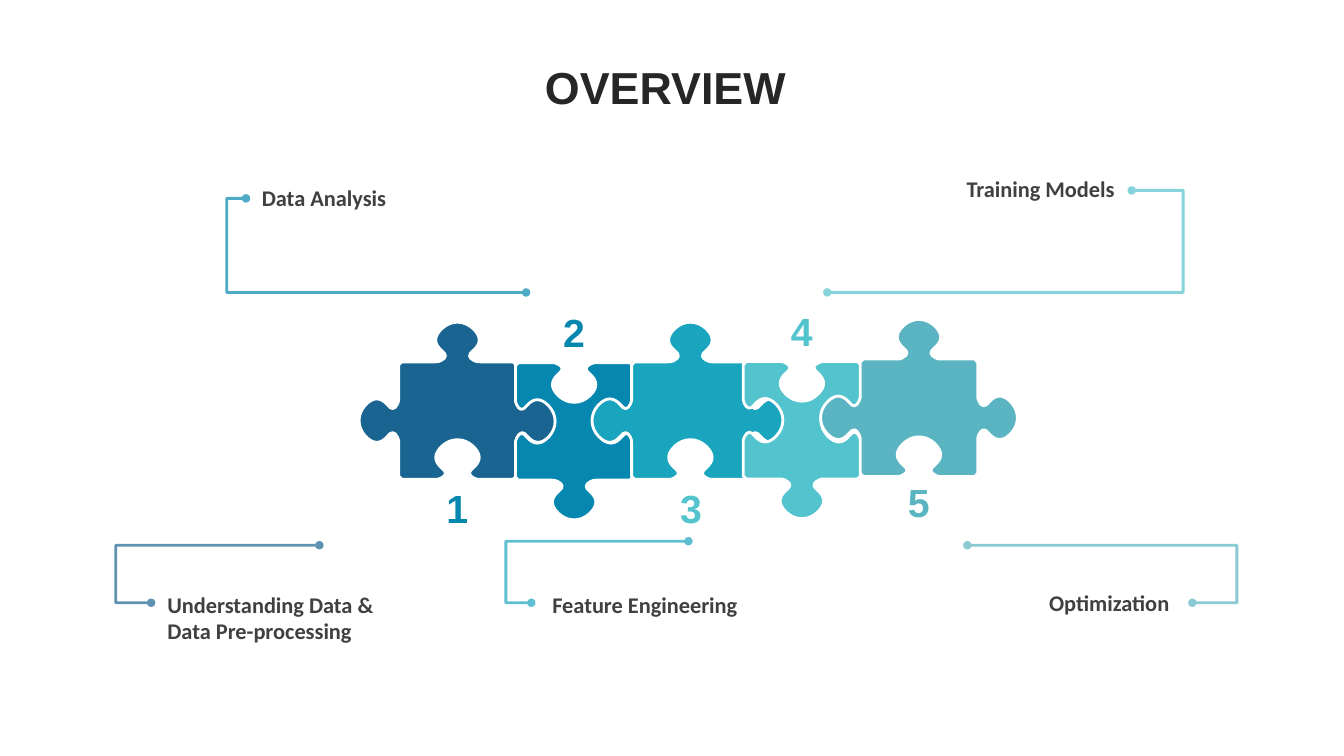
from lxml.etree import SubElement
from pptx import Presentation
from pptx.dml.color import RGBColor
from pptx.enum.shapes import MSO_CONNECTOR
from pptx.enum.text import MSO_ANCHOR, MSO_AUTO_SIZE, PP_ALIGN
from pptx.oxml.ns import qn
from pptx.util import Cm, Pt

NAVY = RGBColor(0x19, 0x64, 0x91)
BLUE = RGBColor(0x05, 0x87, 0xAF)
TEAL = RGBColor(0x19, 0xA5, 0xBE)
AQUA = RGBColor(0x53, 0xC3, 0xCD)
MIST = RGBColor(0x5A, 0xB4, 0xC1)
WHITE = RGBColor(0xFF, 0xFF, 0xFF)
TITLE_COLOR = RGBColor(0x26, 0x26, 0x26)
LABEL_COLOR = RGBColor(0x40, 0x40, 0x40)

# Half of a puzzle side in cm: (along the side, outwards).
# A corner, the start of the knob, then three points for each curve up to the tip.
HALF_SIDE = 1.48
HALF_PROFILE = [
    (-1.4, 0), (-0.57, 0),
    (-0.52, 0), (-0.47, 0), (-0.42, 0.03),
    (-0.27, 0.1), (-0.27, 0.19), (-0.39, 0.28),
    (-0.6, 0.46), (-0.6, 0.64), (-0.39, 0.84),
    (-0.28, 0.94), (-0.15, 1), (0, 1),
]
SIDE_PROFILE = HALF_PROFILE + [(-along, out) for along, out in HALF_PROFILE[-2::-1]]

# Direction of each side, clockwise from the top: 1 is a knob, -1 a notch
KNOB_UP = (1, 1, -1, 1)
KNOB_DOWN = (-1, -1, 1, -1)

# Centre x, centre y, sides, colour
PIECES = [
    (11.53, 10.6, KNOB_UP, NAVY),
    (14.47, 10.62, KNOB_DOWN, BLUE),
    (17.4, 10.6, KNOB_UP, TEAL),
    (20.21, 10.59, KNOB_DOWN, AQUA),
    (23.16, 10.53, KNOB_UP, MIST),
]

# Text, left, top, colour
NUMBERS = [
    ("1", 9.86, 12.07, BLUE),
    ("2", 12.8, 7.65, BLUE),
    ("3", 15.75, 12.07, AQUA),
    ("4", 18.54, 7.62, AQUA),
    ("5", 21.49, 11.94, MIST),
]

# Lines, left, top, width, height
LABELS = [
    (["Understanding Data &", "Data Pre-processing"], 4.22, 14.76, 5.66, 1.62),
    (["Data Analysis"], 6.6, 4.52, 5.66, 0.94),
    (["Feature Engineering"], 13.92, 14.76, 5.66, 0.94),
    (["Training Models"], 24.36, 4.29, 4.17, 0.94),
    (["Optimization"], 26.44, 14.71, 3.3, 0.94),
]

# Start, end, x of the bend, colour
LEADERS = [
    ((3.81, 15.19), (8.05, 13.74), 2.92, NAVY),
    ((6.2, 5), (13.26, 7.37), 5.71, BLUE),
    ((13.39, 15.19), (17.35, 13.64), 12.75, TEAL),
    ((20.85, 7.37), (28.52, 4.8), 29.82, AQUA),
    ((30.05, 15.19), (24.38, 13.74), 31.17, MIST),
]


def write_text(frame, lines, *, font, size, color, align=PP_ALIGN.LEFT):
    """Fill a text frame with bold paragraphs."""
    frame.word_wrap = True
    for index, line in enumerate(lines):
        paragraph = frame.add_paragraph() if index else frame.paragraphs[0]
        paragraph.alignment = align
        run = paragraph.add_run()
        run.text = line
        run.font.name = font
        run.font.size = Pt(size)
        run.font.bold = True
        run.font.color.rgb = color


def add_title(slide, text):
    title = slide.shapes.title
    title.left, title.top = Cm(0.69), Cm(1.27)
    title.width, title.height = Cm(32.16), Cm(2.01)
    frame = title.text_frame
    frame.vertical_anchor = MSO_ANCHOR.MIDDLE
    write_text(frame, [text], font="Arial", size=32, color=TITLE_COLOR,
               align=PP_ALIGN.CENTER)
    frame.paragraphs[0].line_spacing = 0.9
    frame.paragraphs[0].space_before = Pt(10)


def add_text_box(slide, lines, left, top, width, height, **text_format):
    box = slide.shapes.add_textbox(Cm(left), Cm(top), Cm(width), Cm(height))
    write_text(box.text_frame, lines, **text_format)
    box.text_frame.auto_size = MSO_AUTO_SIZE.SHAPE_TO_FIT_TEXT
    return box.text_frame


def add_label(slide, lines, left, top, width, height):
    frame = add_text_box(slide, lines, left, top, width, height,
                         font="Calibri", size=16, color=LABEL_COLOR)
    frame.margin_left = frame.margin_right = 0


def round_knobs(piece):
    """Join the line segments of each knob, three by three, into curves."""
    outline = next(piece._element.iter(qn("a:path")))
    segments = [outline[0]] + outline.findall(qn("a:lnTo"))
    size = len(SIDE_PROFILE)
    for side_start in range(0, len(segments), size):
        for first in range(side_start + 2, side_start + size - 1, 3):
            curve = SubElement(outline, qn("a:cubicBezTo"))
            segments[first].addprevious(curve)
            for segment in segments[first:first + 3]:
                curve.append(segment[0])
                outline.remove(segment)


def add_piece(slide, center_x, center_y, sides, color):
    points = []
    for quarter_turns, direction in enumerate(sides):
        for along, out in SIDE_PROFILE:
            x, y = along, -HALF_SIDE - direction * out
            for _ in range(quarter_turns):
                x, y = -y, x
            points.append((Cm(center_x + x), Cm(center_y + y)))
    builder = slide.shapes.build_freeform(*points[0])
    builder.add_line_segments(points[1:], close=True)
    piece = builder.convert_to_shape()
    round_knobs(piece)
    piece.shadow.inherit = False
    piece.fill.solid()
    piece.fill.fore_color.rgb = color
    piece.line.color.rgb = WHITE
    piece.line.width = Pt(2)


def add_leader(slide, start, end, bend_x, color):
    """Elbow line with round ends whose bend lies outside its two ends."""
    leader = slide.shapes.add_connector(
        MSO_CONNECTOR.ELBOW, *(Cm(value) for value in start + end))
    leader.line.color.rgb = color
    leader.line.width = Pt(2)
    properties = leader._element.spPr

    # Position of the bend, as a share of the width
    guides = properties.find(qn("a:prstGeom")).get_or_add_avLst()
    share = (bend_x - start[0]) / (end[0] - start[0])
    SubElement(guides, qn("a:gd"), name="adj1", fmla=f"val {round(share * 100000)}")

    # Transparency, round ends, no shadow
    outline = properties.find(qn("a:ln"))
    SubElement(next(outline.iter(qn("a:srgbClr"))), qn("a:alpha"), val="70000")
    for tag in ("a:headEnd", "a:tailEnd"):
        SubElement(outline, qn(tag), type="oval")
    SubElement(properties, qn("a:effectLst"))


def main():
    presentation = Presentation()
    presentation.slide_width, presentation.slide_height = Cm(33.87), Cm(19.05)
    slide = presentation.slides.add_slide(presentation.slide_layouts[5])
    add_title(slide, "OVERVIEW")

    # Puzzle row
    for piece in PIECES:
        add_piece(slide, *piece)

    # Leader lines with their labels
    for leader in LEADERS:
        add_leader(slide, *leader)
    for label in LABELS:
        add_label(slide, *label)

    # Step numbers
    for text, left, top, color in NUMBERS:
        add_text_box(slide, [text], left, top, 3.33, 1.45, font="Arial",
                     size=28, color=color, align=PP_ALIGN.CENTER)

    presentation.save("out.pptx")


if __name__ == "__main__":
    main()
